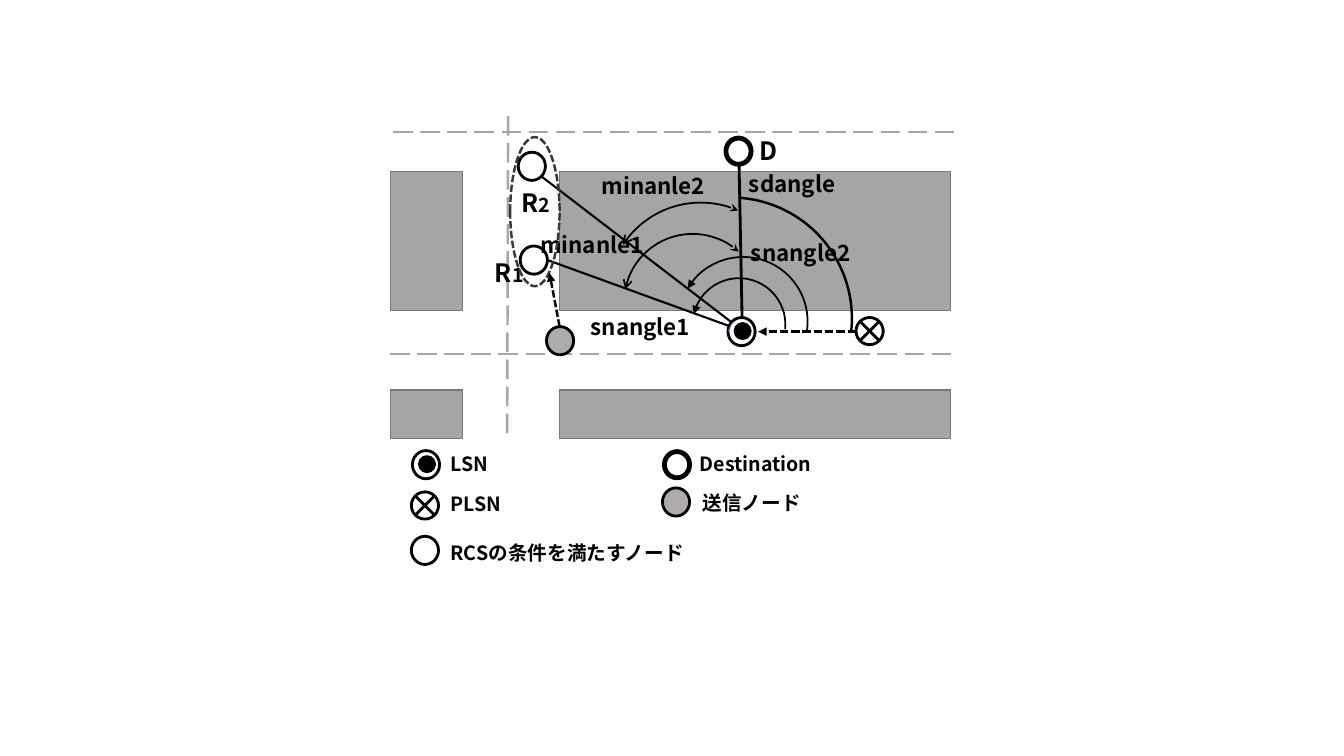
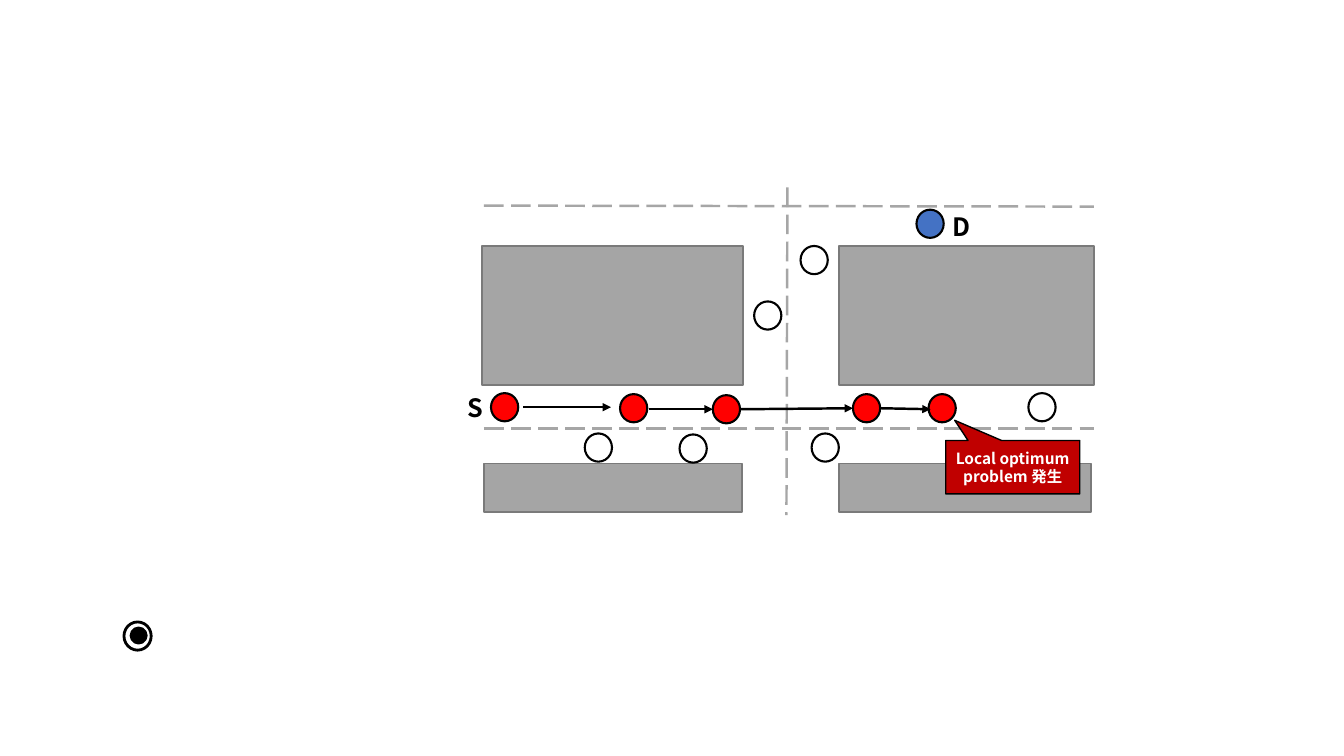
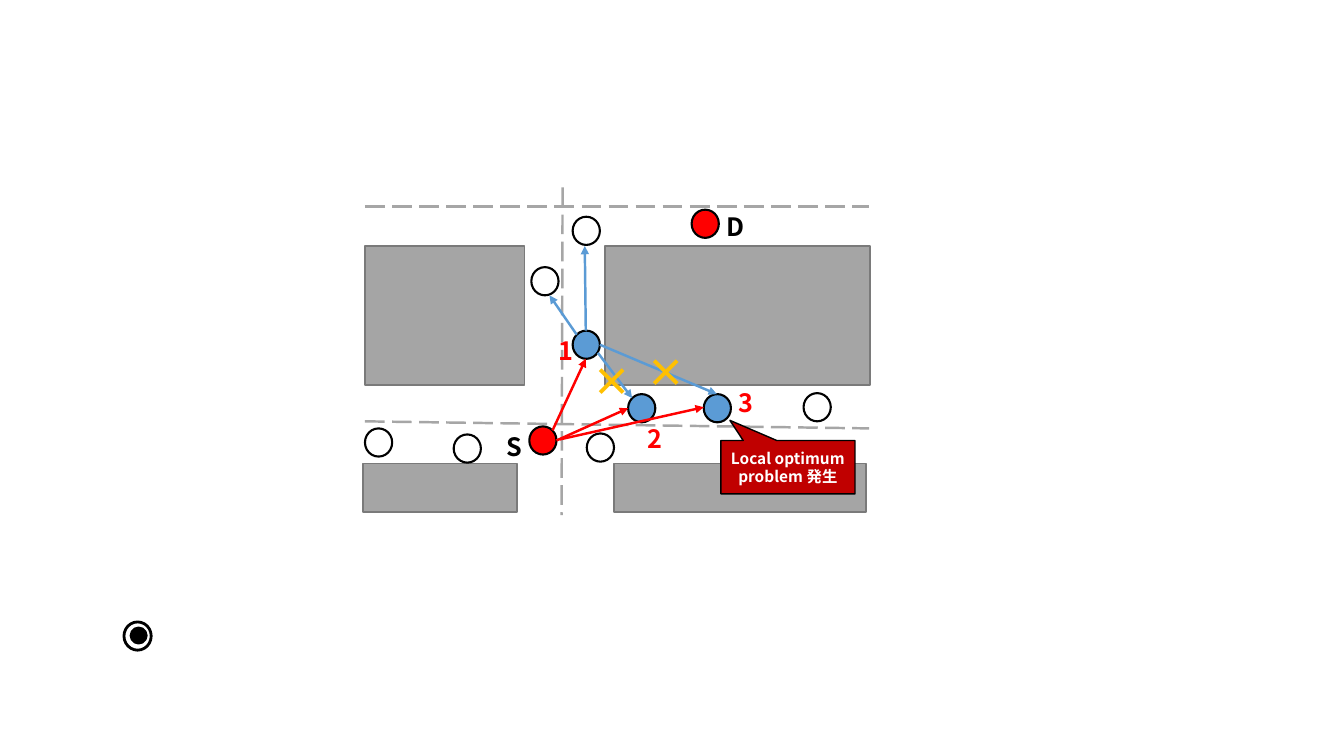
from lxml import etree
from pptx import Presentation
from pptx.dml.color import RGBColor
from pptx.enum.dml import MSO_LINE
from pptx.enum.shapes import MSO_CONNECTOR, MSO_SHAPE
from pptx.enum.text import MSO_ANCHOR, MSO_AUTO_SIZE, PP_ALIGN
from pptx.oxml.ns import qn
from pptx.util import Inches, Pt

STRAIGHT = MSO_CONNECTOR.STRAIGHT
RECTANGLE, OVAL, ARC = MSO_SHAPE.RECTANGLE, MSO_SHAPE.OVAL, MSO_SHAPE.ARC
JUNCTION = MSO_SHAPE.FLOWCHART_SUMMING_JUNCTION
CALLOUT = MSO_SHAPE.RECTANGULAR_CALLOUT
LONG_DASH, SHORT_DASH = MSO_LINE.LONG_DASH, MSO_LINE.SQUARE_DOT
LEFT, CENTER = PP_ALIGN.LEFT, PP_ALIGN.CENTER
MIDDLE, GROW = MSO_ANCHOR.MIDDLE, MSO_AUTO_SIZE.SHAPE_TO_FIT_TEXT

FONT = "Noto Sans CJK JP"
BLACK = RGBColor(0x00, 0x00, 0x00)
WHITE = RGBColor(0xFF, 0xFF, 0xFF)
BLOCK_GRAY = RGBColor(0xA5, 0xA5, 0xA5)
BLOCK_EDGE = RGBColor(0x7A, 0x7A, 0x7A)
ROAD_GRAY = RGBColor(0xA6, 0xA6, 0xA6)
SENDER_GRAY = RGBColor(0xAF, 0xAB, 0xAB)
DARK_GRAY = RGBColor(0x3B, 0x38, 0x38)
RED = RGBColor(0xFF, 0x00, 0x00)
DARK_RED = RGBColor(0xC0, 0x00, 0x00)
BLUE = RGBColor(0x44, 0x72, 0xC4)
LIGHT_BLUE = RGBColor(0x5B, 0x9B, 0xD5)
GOLD = RGBColor(0xFF, 0xC0, 0x00)


def write(frame, text, size=18, color=BLACK, align=LEFT, suffix="", suffix_size=14):
    """Write bold lines into a text frame, with an optional smaller suffix."""
    for index, line in enumerate(text.split("\n")):
        para = frame.paragraphs[0] if index == 0 else frame.add_paragraph()
        para.alignment = align
        for part, points in ((line, size), (suffix, suffix_size)):
            if part:
                span = para.add_run()
                span.text = part
                span.font.name = FONT
                span.font.size = Pt(points)
                span.font.bold = True
                span.font.color.rgb = color
                east = etree.SubElement(span.font._element, qn("a:ea"))
                east.set("typeface", FONT)


class Diagram:
    """Draw street maps with network nodes on the slides of a deck."""

    def __init__(self):
        self.deck = Presentation()
        self.deck.slide_width = Inches(13.33)
        self.deck.slide_height = Inches(7.5)
        self.page = None

    def new_page(self):
        """Start a blank slide."""
        self.page = self.deck.slides.add_slide(self.deck.slide_layouts[6])

    def outline(self, item, color, width, dash=None, head=None, tail=None):
        """Format the line of a shape or connector."""
        item.line.color.rgb = color
        item.line.width = Pt(width)
        if dash:
            item.line.dash_style = dash
        stroke = item.element.spPr.find(qn("a:ln"))
        for tag, kind in (("a:headEnd", head), ("a:tailEnd", tail)):
            if kind:
                etree.SubElement(stroke, qn(tag)).set("type", kind)

    def shape(self, kind, at, fill=None, line=BLACK, width=2, adjust=(), **ends):
        """Add a preset shape without shadow."""
        item = self.page.shapes.add_shape(kind, *map(Inches, at))
        for index, value in enumerate(adjust):
            item.adjustments[index] = value
        if fill is None:
            item.fill.background()
        else:
            item.fill.solid()
            item.fill.fore_color.rgb = fill
        self.outline(item, line, width, **ends)
        item.shadow.inherit = False
        return item

    def line(self, start, end, color=BLACK, width=1.75, **ends):
        """Add a straight connector."""
        item = self.page.shapes.add_connector(STRAIGHT, *map(Inches, start + end))
        self.outline(item, color, width, **ends)
        etree.SubElement(item.element.spPr, qn("a:effectLst"))

    def arrow(self, start, end, color=BLACK, **style):
        """Add a line that ends in a triangle."""
        self.line(start, end, color, tail="triangle", **style)

    def label(self, text, left, top, width=0.39, height=0.4, **style):
        """Add a text box."""
        box = self.page.shapes.add_textbox(*map(Inches, (left, top, width, height)))
        box.text_frame.word_wrap = True
        box.text_frame.auto_size = GROW
        write(box.text_frame, text, **style)

    def blocks(self, rows):
        """Add rows of city blocks, each given as top, height and spans."""
        for top, height, spans in rows:
            for left, width in spans:
                self.shape(RECTANGLE, (left, top, width, height),
                           BLOCK_GRAY, BLOCK_EDGE, 1)

    def roads(self, *routes):
        """Add dashed road centre lines."""
        for start, end in routes:
            self.line(start, end, ROAD_GRAY, dash=LONG_DASH)

    def node(self, left, top, fill=WHITE, width=1.5):
        """Add a round node."""
        self.shape(OVAL, (left, top, 0.27, 0.28), fill, width=width)

    def nodes(self, fill, *places):
        """Add several nodes of one colour."""
        for left, top in places:
            self.node(left, top, fill)

    def lsn(self, left, top):
        """Add a white node with a black core."""
        self.node(left, top, width=2)
        self.shape(OVAL, (left + 0.07, top + 0.06, 0.15, 0.15), BLACK)

    def destination(self, left, top):
        """Add a node with a thick black ring."""
        self.node(left, top, BLACK, 2)
        self.shape(OVAL, (left + 0.02, top + 0.02, 0.23, 0.24), WHITE)

    def plsn(self, left, top):
        """Add a crossed node."""
        self.shape(JUNCTION, (left, top, 0.27, 0.27), WHITE)

    def arc(self, left, top, size, adjust, turn=0, width=1.25, **ends):
        """Add a circular arc."""
        item = self.shape(ARC, (left, top, size, size), width=width,
                          adjust=adjust, **ends)
        item.rotation = turn

    def problem(self, left, top):
        """Add the callout for the local optimum problem."""
        item = self.shape(CALLOUT, (left, top, 1.33, 0.53), DARK_RED,
                          width=1, adjust=(-0.433, -0.878))
        frame = item.text_frame
        frame.word_wrap = True
        frame.vertical_anchor = MIDDLE
        frame.margin_left = frame.margin_right = Inches(0.05)
        write(frame, "Local optimum\nproblem 発生", size=11, color=WHITE, align=CENTER)


def angles_page(diagram):
    """Draw the angle definitions and their legend."""
    diagram.new_page()
    columns = ((5.55, 3.88), (3.87, 0.72))
    diagram.blocks(((1.7, 1.38, columns), (3.87, 0.48, columns)))
    diagram.roads(((3.87, 3.51), (9.43, 3.51)), ((3.9, 1.31), (9.47, 1.31)),
                  ((5.04, 1.15), (5.03, 4.37)))

    for left, top in ((5.16, 2.44), (5.14, 1.51), (4.08, 5.32)):
        diagram.node(left, top, width=2)
    for left, top in ((7.19, 1.36), (6.58, 4.47)):
        diagram.destination(left, top)
    for left, top in ((7.22, 3.15), (4.09, 4.47)):
        diagram.lsn(left, top)
    for left, top in ((8.49, 3.15), (4.08, 4.88)):
        diagram.plsn(left, top)

    legend = (("LSN", 4.37, 4.43), ("Destination", 6.84, 4.43), ("PLSN", 4.37, 4.83),
              ("送信ノード", 6.87, 4.82), ("RCSの条件を満たすノード", 4.37, 5.32))
    for text, left, top in legend:
        diagram.label(text, left, top, 2.85, 0.34, size=14)

    diagram.arrow((8.49, 3.29), (7.52, 3.29), width=2, dash=SHORT_DASH)
    diagram.line((7.26, 3.2), (7.22, 3.29), BLUE, 0.5)
    diagram.line((7.22, 3.23), (5.43, 2.58), width=1.5)
    diagram.line((7.26, 3.2), (5.37, 1.75), width=1.5)
    diagram.line((7.36, 3.15), (7.33, 1.62), width=2)

    diagram.label("D", 7.43, 1.29)
    diagram.label("R", 4.81, 2.5, 0.64, suffix="1")
    diagram.label("R", 5.07, 1.81, 0.83, suffix="2")

    diagram.arc(6.73, 2.55, 1.28, (124.79, 3.3), 2.7, head="triangle")
    diagram.arc(6.87, 2.76, 0.92, (120.29, 7.89), 352.6, head="triangle")
    diagram.arc(6.05, 1.96, 2.4, (164.23, 3.3), width=1.75)
    for left, top, size, adjust, turn in (
            (6.03, 2.01, 1.84, (176.45, 8.83), 279.1),
            (6.19, 2.32, 1.36, (156.4, 13.02), 290.6)):
        diagram.arc(left, top, size, adjust, turn, head="arrow", tail="stealth")

    for text, left, top in (("sdangle", 7.33, 1.64), ("snangle1", 5.76, 3.06),
                            ("snangle2", 7.35, 2.32), ("minanle2", 5.87, 1.66),
                            ("minanle1", 5.26, 2.24)):
        diagram.label(text, left, top, 1.29, 0.38, size=16)

    for left, top in ((6.57, 4.84), (5.42, 3.24)):
        diagram.node(left, top, SENDER_GRAY, 2)
    diagram.shape(OVAL, (5.06, 1.36, 0.49, 1.48), line=DARK_GRAY,
                  width=1.75, dash=SHORT_DASH)
    diagram.arrow((5.55, 3.24), (5.45, 2.71), dash=SHORT_DASH)


def greedy_page(diagram):
    """Draw the relay path that runs into a local optimum."""
    diagram.new_page()
    diagram.lsn(1.23, 6.17)
    diagram.blocks(((2.44, 1.38, ((8.32, 2.53), (4.78, 2.59))),
                    (4.6, 0.48, ((8.32, 2.5), (4.8, 2.56)))))
    diagram.roads(((4.8, 4.25), (10.85, 4.25)), ((4.8, 2.04), (10.85, 2.05)),
                  ((7.81, 1.86), (7.8, 5.11)))
    diagram.nodes(BLUE, (9.09, 2.08))
    diagram.nodes(RED, (4.87, 3.9), (6.15, 3.91), (7.07, 3.92),
                  (8.46, 3.91), (9.21, 3.91))
    diagram.nodes(WHITE, (5.8, 4.3), (6.74, 4.31), (8.05, 4.3),
                  (7.48, 2.99), (7.94, 2.44), (10.2, 3.9))
    for start, end in (((5.19, 4.04), (6.06, 4.04)), ((6.44, 4.06), (7.07, 4.06)),
                       ((7.34, 4.06), (8.46, 4.05)), ((8.73, 4.05), (9.23, 4.06))):
        diagram.arrow(start, end)
    diagram.label("D", 9.35, 2.05)
    diagram.label("S", 4.54, 3.84)
    diagram.problem(9.38, 4.37)


def choice_page(diagram):
    """Draw the choice between three relay nodes."""
    diagram.new_page()
    diagram.lsn(1.23, 6.17)
    diagram.blocks(((2.44, 1.38, ((6, 2.63), (3.62, 1.58))),
                    (4.6, 0.48, ((6.09, 2.5), (3.6, 1.53)))))
    diagram.roads(((3.62, 4.18), (8.62, 4.25)), ((3.62, 2.05), (8.62, 2.05)),
                  ((5.58, 1.86), (5.57, 5.11)))
    diagram.nodes(RED, (6.86, 2.08), (5.25, 4.23))
    diagram.nodes(WHITE, (3.62, 4.25), (4.5, 4.31), (5.82, 4.3),
                  (5.68, 2.15), (7.97, 3.9), (5.27, 2.65))
    diagram.nodes(LIGHT_BLUE, (6.98, 3.91), (5.68, 3.28), (6.23, 3.91))
    diagram.problem(7.15, 4.37)
    for start, end in (((5.52, 4.37), (6.23, 4.05)), ((5.48, 4.27), (5.81, 3.56)),
                       ((5.55, 4.36), (6.98, 4.04))):
        diagram.arrow(start, end, RED)
    for start, end in (((5.72, 3.32), (5.45, 2.93)), ((5.81, 3.28), (5.8, 2.44)),
                       ((5.93, 3.5), (6.27, 3.95)), ((5.95, 3.42), (7.11, 3.91))):
        diagram.arrow(start, end, LIGHT_BLUE)
    for text, left, top in (("1", 5.44, 3.28), ("2", 6.32, 4.15), ("3", 7.23, 3.79)):
        diagram.label(text, left, top, color=RED)
    diagram.label("D", 7.11, 2.05)
    diagram.label("S", 4.93, 4.23)
    for left, top in ((5.78, 3.5), (6.31, 3.41)):
        diagram.label("×", left, top, 0.49, 0.57, size=28, color=GOLD)


def main():
    """Build and save the deck."""
    diagram = Diagram()
    angles_page(diagram)
    greedy_page(diagram)
    choice_page(diagram)
    diagram.deck.save("out.pptx")


if __name__ == "__main__":
    main()
